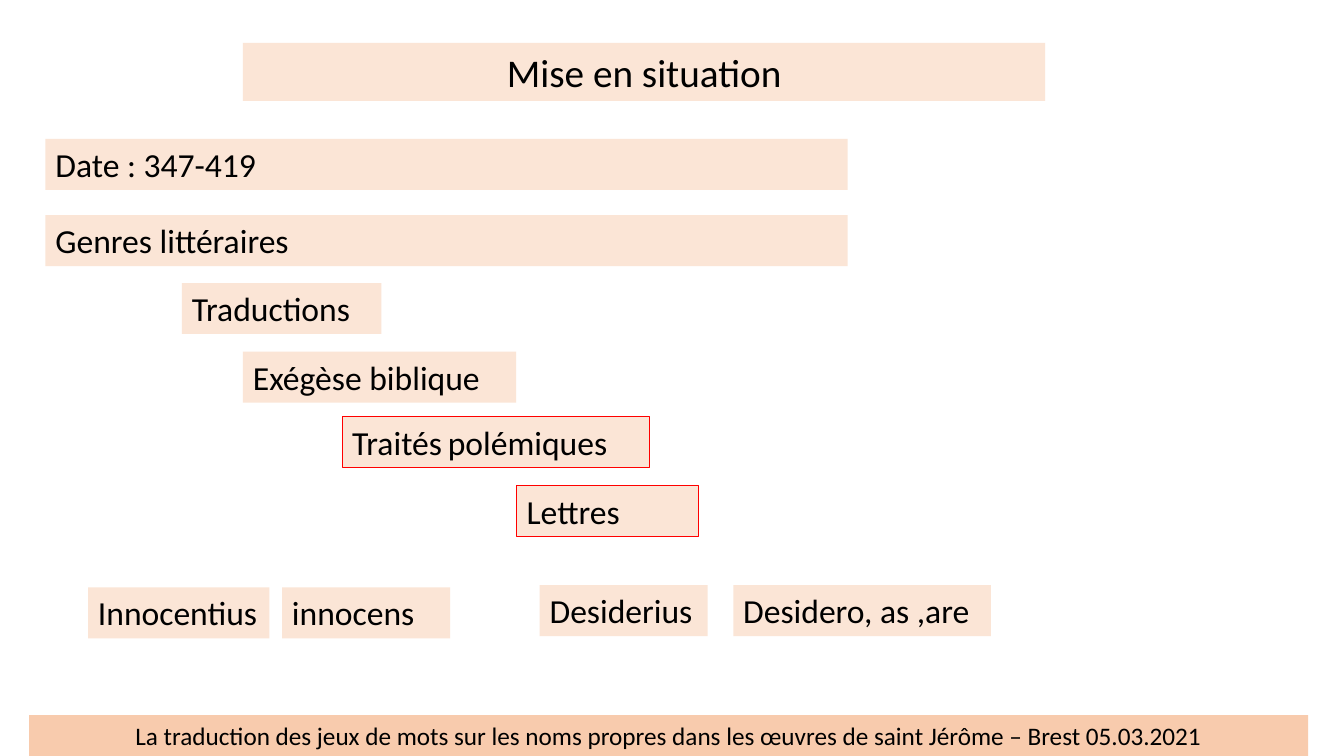
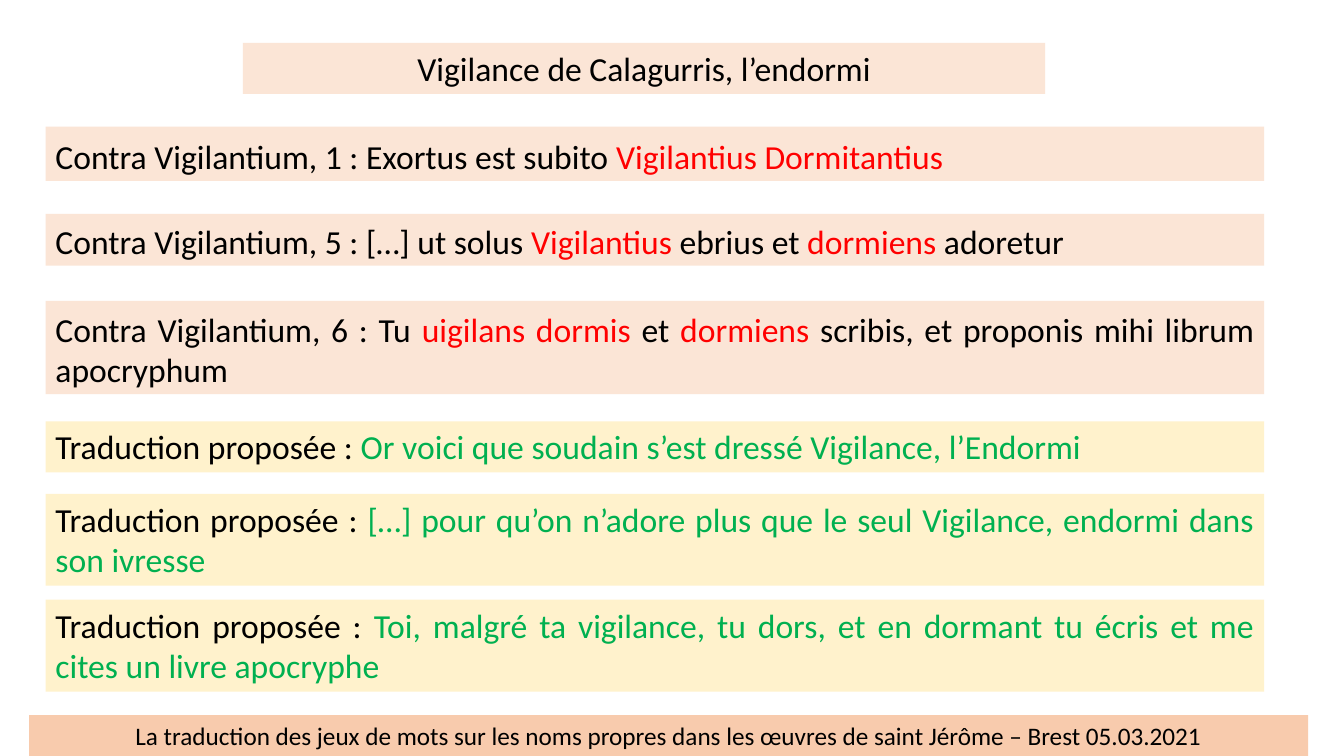
from dataclasses import dataclass
from typing import NamedTuple

from pptx import Presentation
from pptx.dml.color import RGBColor
from pptx.enum.text import MSO_ANCHOR, PP_ALIGN
from pptx.util import Pt

LEFT, CENTER, JUSTIFY = PP_ALIGN.LEFT, PP_ALIGN.CENTER, PP_ALIGN.JUSTIFY
TOP, BOTTOM = MSO_ANCHOR.TOP, MSO_ANCHOR.BOTTOM
BLANK_LAYOUT = 6


@dataclass(frozen=True)
class Theme:
    font: str = "Calibri"
    text: RGBColor = RGBColor(0x00, 0x00, 0x00)
    latin: RGBColor = RGBColor(0xFF, 0x00, 0x00)
    french: RGBColor = RGBColor(0x00, 0xB0, 0x50)
    outline: RGBColor = RGBColor(0xFF, 0x00, 0x00)
    band: RGBColor = RGBColor(0xFB, 0xE5, 0xD6)
    translation_band: RGBColor = RGBColor(0xFF, 0xF2, 0xCC)
    footer_band: RGBColor = RGBColor(0xF8, 0xCB, 0xAD)
    outline_width: float = 0.75
    title_size: int = 28
    body_size: int = 24
    footer_size: int = 18


class Box(NamedTuple):
    left: float
    top: float
    width: float
    height: float

    def inner(self, left, top, width, height):
        return Box(self.left + left, self.top + top, width, height)


class Span(NamedTuple):
    """Stretch of text with its own colour or size."""
    text: str
    color: RGBColor | None = None
    size: float | None = None


THEME = Theme()
LINE_HEIGHT = 36.4
TWO_LINES_HEIGHT = 65.6
PAGE = Box(0, 0, 960, 540)
FOOTER = Box(20.8, 510.8, 913.6, 29.2)
TITLE = Box(173.6, 30.7, 573, LINE_HEIGHT)
LARGE_TITLE = TITLE._replace(height=41.4)
GENRES = Box(32.5, 99.3, 573, 284)
NAMES = Box(62.9, 418, 645, 38)
PASSAGES = Box(32.5, 90.4, 870.5, 191)
TRANSLATIONS = Box(32.5, 301, 870.5, 193)

FOOTER_TEXT = ("La traduction des jeux de mots sur les noms propres dans les œuvres "
               "de saint Jérôme – Brest 05.03.2021")

# Left, top and width inside the region, outlined or not, text.
GENRE_ROWS = [
    (0, 0, 573, False, [Span("Date : 347-419")]),
    (0, 54.4, 573, False, [Span("Genres littéraires")]),
    (97.5, 102.9, 142.5, False, [Span("Traductions")]),
    (141.1, 151.9, 195.2, False, [Span("Exégèse biblique")]),
    (212, 198.5, 219.5, True,
     [Span("Traités"), Span(" ", size=THEME.footer_size), Span("polémiques")]),
    (336.6, 247.6, 129.8, True, [Span("Lettres")]),
]

# Left, top and width inside the region, word.
NAME_BOXES = [
    (0, 1.6, 129.5, "Innocentius"),
    (138.6, 1.6, 120, "innocens"),
    (322.6, 0, 120, "Desiderius"),
    (460.9, 0, 184, "Desidero, as ,are"),
]

# Top inside the region, height, text.
PASSAGE_ROWS = [
    (0, 38.9, [Span("Contra Vigilantium, 1 : Exortus est subito "),
               Span("Vigilantius Dormitantius", THEME.latin)]),
    (62.3, 37.1, [Span("Contra Vigilantium, 5 : […] ut solus "),
                  Span("Vigilantius ", THEME.latin), Span("ebrius et "),
                  Span("dormiens ", THEME.latin), Span("adoretur")]),
    (124.5, 66.6, [Span("Contra Vigilantium, 6 : Tu "),
                   Span("uigilans dormis ", THEME.latin), Span("et "),
                   Span("dormiens ", THEME.latin),
                   Span("scribis, et proponis mihi librum apocryphum")]),
]

TRANSLATION_ROWS = [
    (0, LINE_HEIGHT, "Or voici que soudain s’est dressé Vigilance, l’Endormi"),
    (51.8, TWO_LINES_HEIGHT,
     "[…] pour qu’on n’adore plus que le seul Vigilance, endormi dans son ivresse"),
    (127.4, TWO_LINES_HEIGHT,
     "Toi, malgré ta vigilance, tu dors, et en dormant tu écris et me cites "
     "un livre apocryphe"),
]


def add_band(slide, box, spans, align=JUSTIFY, fill=THEME.band,
             size=THEME.body_size, anchor=TOP, outlined=False):
    """Add a filled text box holding one paragraph."""
    shape = slide.shapes.add_textbox(*(Pt(length) for length in box))
    shape.fill.solid()
    shape.fill.fore_color.rgb = fill
    if outlined:
        shape.line.color.rgb = THEME.outline
        shape.line.width = Pt(THEME.outline_width)
    frame = shape.text_frame
    frame.word_wrap = True
    frame.vertical_anchor = anchor
    paragraph = frame.paragraphs[0]
    paragraph.alignment = align
    paragraph.font.name = THEME.font
    paragraph.font.size = Pt(size)
    paragraph.font.color.rgb = THEME.text
    for span in spans:
        run = paragraph.add_run()
        run.text = span.text
        if span.color is not None:
            run.font.color.rgb = span.color
        if span.size is not None:
            run.font.size = Pt(span.size)


def add_slide(presentation, title, title_box, title_size):
    """Add a blank slide with the shared footer and a title band."""
    slide = presentation.slides.add_slide(presentation.slide_layouts[BLANK_LAYOUT])
    add_band(slide, FOOTER, [Span(FOOTER_TEXT)], CENTER, THEME.footer_band,
             THEME.footer_size)
    add_band(slide, title_box, [Span(title)], CENTER, size=title_size)
    return slide


def add_genres(slide, region):
    for left, top, width, outlined, spans in GENRE_ROWS:
        add_band(slide, region.inner(left, top, width, LINE_HEIGHT), spans,
                 outlined=outlined)


def add_names(slide, region):
    for left, top, width, word in NAME_BOXES:
        add_band(slide, region.inner(left, top, width, LINE_HEIGHT),
                 [Span(word)], LEFT)


def add_passages(slide, region):
    for top, height, spans in PASSAGE_ROWS:
        add_band(slide, region.inner(0, top, region.width, height), spans,
                 anchor=BOTTOM)


def add_translations(slide, region):
    for top, height, text in TRANSLATION_ROWS:
        add_band(slide, region.inner(0, top, region.width, height),
                 [Span("Traduction proposée : "), Span(text, THEME.french)],
                 fill=THEME.translation_band)


def add_context_slide(presentation):
    slide = add_slide(presentation, "Mise en situation", LARGE_TITLE, THEME.title_size)
    add_genres(slide, GENRES)
    add_names(slide, NAMES)


def add_vigilance_slide(presentation):
    slide = add_slide(presentation, "Vigilance de Calagurris, l’endormi", TITLE,
                      THEME.body_size)
    add_passages(slide, PASSAGES)
    add_translations(slide, TRANSLATIONS)


def main():
    presentation = Presentation()
    presentation.slide_width = Pt(PAGE.width)
    presentation.slide_height = Pt(PAGE.height)
    add_context_slide(presentation)
    add_vigilance_slide(presentation)
    presentation.save("out.pptx")


if __name__ == "__main__":
    main()
